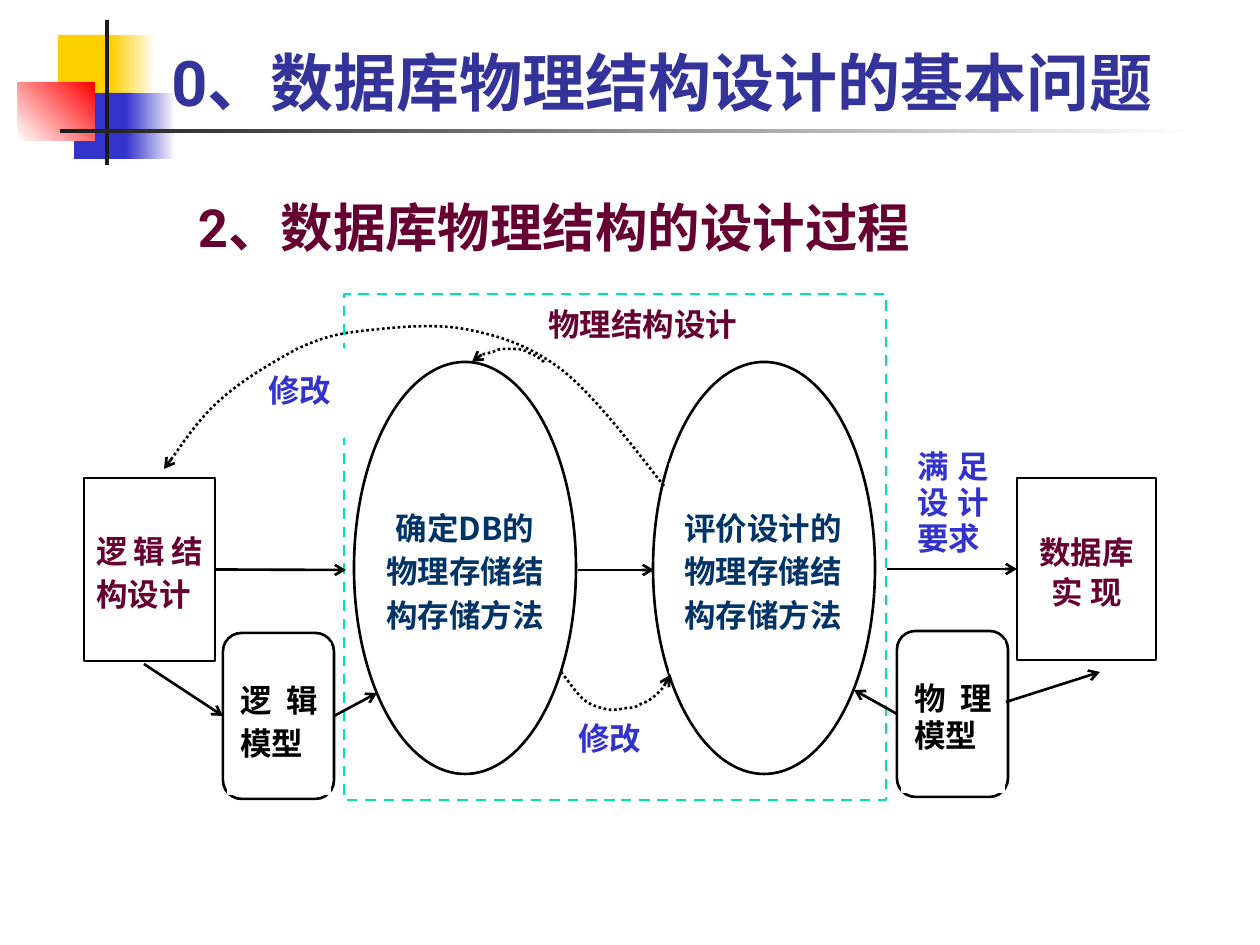
from lxml.etree import SubElement
from pptx import Presentation
from pptx.dml.color import RGBColor
from pptx.enum.dml import MSO_LINE
from pptx.enum.shapes import MSO_CONNECTOR, MSO_SHAPE as SHAPE
from pptx.enum.text import MSO_ANCHOR as ANCHOR, PP_ALIGN as ALIGN
from pptx.oxml.ns import qn
from pptx.util import Pt

PX = 914400 / 126
CJK, ROBOTO, TIMES = "Noto Sans CJK SC", "Roboto", "Times New Roman"
BLACK, WHITE, WINE, BLUE, NAVY = "000000", "FFFFFF", "660033", "3333CC", "003366"
GREEN, CHARCOAL, YELLOW, RED = "00E4A8", "1C1C1C", "FFCF01", "FF0000"
TOP, LEFT, BOTTOM, RIGHT = range(4)

# place, colours (two make a gradient), gradient angle
ORNAMENT = [
    ((58, 35, 60, 66), [YELLOW], 0),
    ((111, 35, 45, 66), [YELLOW, WHITE], 0),
    ((74, 93, 58, 66), [BLUE], 0),
    ((126, 93, 50, 66), [BLUE, WHITE], 0),
    ((18, 83, 77, 58), [WHITE, RED], 45),
    ((105, 20, 4, 145), [CHARCOAL], 0),
    ((60, 129, 1134, 4), [CHARCOAL, WHITE], 0),
]

# name, preset, place, line colour
FRAMES = [
    ("stage", SHAPE.RECTANGLE, (344, 294, 542, 506), GREEN),
    ("logical design", SHAPE.RECTANGLE, (84, 478, 131, 183), BLACK),
    ("database", SHAPE.RECTANGLE, (1017, 478, 139, 182), BLACK),
    ("choose", SHAPE.OVAL, (354, 362, 222, 412), BLACK),
    ("evaluate", SHAPE.OVAL, (653, 362, 222, 412), BLACK),
    ("logical model", SHAPE.FLOWCHART_ALTERNATE_PROCESS, (223, 633, 111, 166), BLACK),
    ("physical model", SHAPE.FLOWCHART_ALTERNATE_PROCESS, (897, 631, 111, 166), BLACK),
]

# frame name: lines as (text, line spacing), alignment
FRAME_TEXTS = {
    "logical design": ([("逻辑结构设计", 1.15)], ALIGN.JUSTIFY),
    "database": ([("数据库", 1.15), ("实 现", 1.04)], ALIGN.CENTER),
}

# place, text, line spacing, alignment, font, colour
LABELS = [
    ((905, 433, 96, 142), "满足设计要求", 0.95, ALIGN.JUSTIFY, TIMES, BLUE),
    ((256, 349, 88, 88), "修改", 0.8, ALIGN.JUSTIFY, TIMES, BLUE),
    ((566, 697, 95, 88), "修改", 0.8, ALIGN.JUSTIFY, TIMES, BLUE),
    ((536, 296, 223, 62), "物理结构设计", 0.85, ALIGN.JUSTIFY, TIMES, WINE),
    ((372, 464, 186, 209), "确定DB的物理存储结构存储方法", 1.15, ALIGN.CENTER, CJK, NAVY),
    ((670, 464, 186, 209), "评价设计的物理存储结构存储方法", 1.15, ALIGN.CENTER, CJK, NAVY),
    ((228, 643, 102, 151), "逻辑模型", 1.15, ALIGN.JUSTIFY, TIMES, BLACK),
    ((902, 641, 102, 151), "物理模型", 1, ALIGN.JUSTIFY, TIMES, BLACK),
]

# each end is a point, plus the joined frame and side where there is one
ARROWS = [
    ((578, 570), (654, 570)),
    ((215, 570, "logical design", RIGHT), (346, 570)),
    ((887, 569), (1017, 569, "database", LEFT)),
    ((144, 664), (223, 716, "logical model", LEFT)),
    ((1006, 702), (1100, 672)),
    ((334, 716, "logical model", RIGHT), (377, 693)),
    ((897, 714, "physical model", LEFT), (854, 690)),
]

# start point, then three points for each Bézier segment
CURVES = [
    [(664, 486), (648, 466), (596, 396), (562, 370), (528, 344), (496, 335), (464, 329),
     (430, 323), (389, 328), (362, 331), (335, 334), (321, 338), (297, 349),
     (273, 362), (242, 380), (219, 401), (197, 421), (175, 455), (164, 469)],
    [(561, 672), (564, 675), (576, 693), (583, 699), (591, 706), (599, 707), (605, 709),
     (612, 711), (621, 709), (627, 708), (634, 708), (636, 707), (641, 704),
     (648, 702), (654, 697), (659, 692), (664, 687), (668, 680), (670, 675)],
    [(544, 362), (542, 360), (534, 354), (529, 353), (525, 350), (520, 349), (515, 349),
     (512, 349), (505, 349), (501, 349), (498, 350), (495, 350), (493, 352),
     (489, 353), (484, 354), (481, 355), (478, 358), (475, 360), (472, 362)],
]


def emu(*lengths):
    return [round(length * PX) for length in lengths]


def color(value):
    return RGBColor.from_string(value)


def add_box(slide, preset, place, fills, angle=0, line=None):
    """Add a preset shape with a solid or two-colour fill."""
    box = slide.shapes.add_shape(preset, *emu(*place))
    box.shadow.inherit = False
    if len(fills) == 1:
        box.fill.solid()
        box.fill.fore_color.rgb = color(fills[0])
    else:
        box.fill.gradient()
        box.fill.gradient_angle = angle
        for stop, value in zip(box.fill.gradient_stops, fills):
            stop.color.rgb = color(value)
    if line:
        box.line.color.rgb = color(line)
        box.line.width = Pt(1.5)
    else:
        box.line.fill.background()
    return box


def write(box, lines, align, font, size, ink, anchor):
    frame = box.text_frame
    frame.word_wrap = True
    frame.vertical_anchor = anchor
    frame.text = "\n".join(text for text, _ in lines)
    for para, (_, spacing) in zip(frame.paragraphs, lines):
        para.alignment = align
        para.line_spacing = spacing
        for span in para.runs:
            span.font.name = font
            span.font.size = Pt(size)
            span.font.bold = True
            span.font.color.rgb = color(ink)
            SubElement(span.font._element, qn("a:ea")).set("typeface", CJK)


def add_heading(slide, place, text, size, ink, anchor, spacing=1):
    box = slide.shapes.add_textbox(*emu(*place))
    write(box, [(text, spacing)], ALIGN.LEFT, ROBOTO, size, ink, anchor)
    return box


def style_arrow(arrow):
    """Draw a black line with an open head at its end and no shadow."""
    arrow.line.color.rgb = color(BLACK)
    arrow.line.width = Pt(1.5)
    SubElement(arrow.line._get_or_add_ln(), qn("a:tailEnd")).set("type", "arrow")


def add_arrow(slide, start, end, frames):
    arrow = slide.shapes.add_connector(MSO_CONNECTOR.STRAIGHT, *emu(*start[:2], *end[:2]))
    for joint, connect in ((start, arrow.begin_connect), (end, arrow.end_connect)):
        if len(joint) > 2:
            connect(frames[joint[2]], joint[3])
    style_arrow(arrow)
    SubElement(arrow._element.spPr, qn("a:effectLst"))


def add_curve(slide, points):
    """Build an open outline and turn each three straight steps into one Bézier."""
    builder = slide.shapes.build_freeform(*points[0], scale=PX)
    builder.add_line_segments(points[1:], close=False)
    curve = builder.convert_to_shape()
    outline = curve._element.find(".//" + qn("a:path"))
    steps = outline.findall(qn("a:lnTo"))
    for first in range(0, len(steps), 3):
        bezier = SubElement(outline, qn("a:cubicBezTo"))
        for step in steps[first:first + 3]:
            bezier.append(step[0])
            outline.remove(step)
    curve.shadow.inherit = False
    curve.fill.background()
    curve.line.dash_style = MSO_LINE.ROUND_DOT
    style_arrow(curve)


def main():
    deck = Presentation()
    deck.slide_width, deck.slide_height = emu(1260, 945)
    slide = deck.slides.add_slide(deck.slide_layouts[6])

    for place, fills, angle in ORNAMENT:
        add_box(slide, SHAPE.RECTANGLE, place, fills, angle)
    subtitle = add_heading(slide, (64, 155, 1131, 100), "2、数据库物理结构的设计过程",
                           30, WINE, ANCHOR.TOP, 1.35)
    subtitle.text_frame.margin_left, subtitle.text_frame.margin_top = emu(134, 18)
    add_heading(slide, (159, 10, 1074, 115), "0、数据库物理结构设计的基本问题",
                36, "333399", ANCHOR.BOTTOM)

    frames = {}
    for name, preset, place, line in FRAMES:
        frames[name] = add_box(slide, preset, place, [WHITE], line=line)
    frames["stage"].line.dash_style = MSO_LINE.DASH
    for name, (lines, align) in FRAME_TEXTS.items():
        write(frames[name], lines, align, TIMES, 18, WINE, ANCHOR.MIDDLE)
    for place, text, spacing, align, font, ink in LABELS:
        label = add_box(slide, SHAPE.RECTANGLE, place, [WHITE], line=WHITE)
        write(label, [(text, spacing)], align, font, 18, ink, ANCHOR.MIDDLE)

    for start, end in ARROWS:
        add_arrow(slide, start, end, frames)
    for points in CURVES:
        add_curve(slide, points)
    deck.save("out.pptx")


if __name__ == "__main__":
    main()
